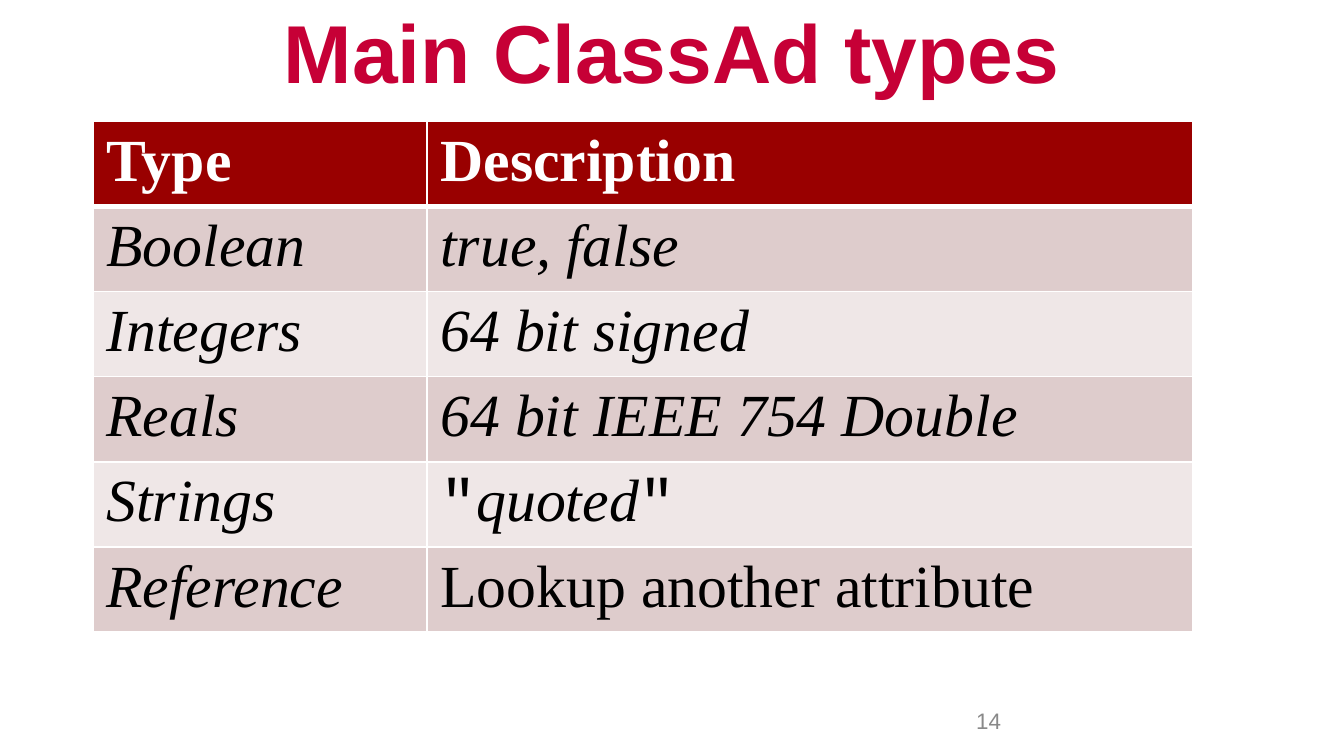
from lxml.etree import SubElement
from pptx import Presentation
from pptx.dml.color import RGBColor
from pptx.enum.text import MSO_ANCHOR, PP_ALIGN
from pptx.oxml.ns import qn
from pptx.util import Pt

TITLE = "Main ClassAd types"
PAGE_NUMBER = "14"
HEADINGS = ["Type", "Description"]
ROMAN = ("Times New Roman", False)
ITALIC = ("Times New Roman", True)
CODE = ("Courier New", False)
TYPES = [
    ("Boolean", [("true, false", ITALIC)]),
    ("Integers", [("64 bit signed", ITALIC)]),
    ("Reals", [("64 bit IEEE 754 Double", ITALIC)]),
    ("Strings", [('"', CODE), ("quoted", ITALIC), ('"', CODE)]),
    ("Reference", [("Lookup another attribute", ROMAN)]),
]
COLORS = {
    "title": "C60036",
    "number": "898989",
    "header": "990000",
    "odd": "DECCCC",
    "even": "EFE7E7",
    "white": "FFFFFF",
    "black": "000000",
}
SLIDE_W, SLIDE_H = 1344, 756
TABLE_LEFT, TABLE_TOP = 93, 121
COLUMN_WIDTHS = [334, 766]
ROW_HEIGHT = 85


def px(length):
    return round(length * 914400 / 134.4)


def rgb(name):
    return RGBColor.from_string(COLORS[name])


def style(run, face, size, color, bold=False, italic=False):
    run.font.name = face
    run.font.size = Pt(size)
    run.font.color.rgb = rgb(color)
    run.font.bold = bold
    run.font.italic = italic


def add_label(slide, text, box, size, color, bold=False, align=PP_ALIGN.LEFT):
    frame = slide.shapes.add_textbox(*map(px, box)).text_frame
    frame.word_wrap = True
    frame.vertical_anchor = MSO_ANCHOR.MIDDLE
    frame.text = text
    paragraph = frame.paragraphs[0]
    paragraph.alignment = align
    style(paragraph.runs[0], "Arial", size, color, bold)


def add_borders(cell, top, bottom):
    properties = cell._tc.get_or_add_tcPr()
    for side, width in (("L", 1), ("R", 1), ("T", top), ("B", bottom)):
        line = SubElement(properties, qn(f"a:ln{side}"), w=str(Pt(width)))
        fill = SubElement(line, qn("a:solidFill"))
        SubElement(fill, qn("a:srgbClr"), val=COLORS["white"])


def fill_cell(cell, pieces, row):
    is_header = row == 0
    add_borders(cell, 3 if row == 1 else 1, 3 if is_header else 1)
    cell.fill.solid()
    band = "header" if is_header else "odd" if row % 2 else "even"
    cell.fill.fore_color.rgb = rgb(band)
    paragraph = cell.text_frame.paragraphs[0]
    for text, (face, italic) in pieces:
        run = paragraph.add_run()
        run.text = text
        style(run, face, 32, "white" if is_header else "black", is_header, italic)


def add_types_table(slide):
    rows = [[[(heading, ROMAN)] for heading in HEADINGS]]
    rows += [[[(name, ITALIC)], description] for name, description in TYPES]
    table = slide.shapes.add_table(
        len(rows), len(HEADINGS), px(TABLE_LEFT), px(TABLE_TOP),
        px(sum(COLUMN_WIDTHS)), px(ROW_HEIGHT * len(rows)),
    ).table
    for column, width in zip(table.columns, COLUMN_WIDTHS):
        column.width = px(width)
    for r, row in enumerate(rows):
        table.rows[r].height = px(ROW_HEIGHT)
        for c, pieces in enumerate(row):
            fill_cell(table.cell(r, c), pieces, r)


def main():
    deck = Presentation()
    deck.slide_width, deck.slide_height = px(SLIDE_W), px(SLIDE_H)
    slide = deck.slides.add_slide(deck.slide_layouts[6])
    add_label(slide, TITLE, (0, 0, SLIDE_W, 101), 44, "title", True, PP_ALIGN.CENTER)
    add_label(slide, PAGE_NUMBER, (963, 700, 314, 41), 12, "number")
    add_types_table(slide)
    deck.save("out.pptx")


if __name__ == "__main__":
    main()
